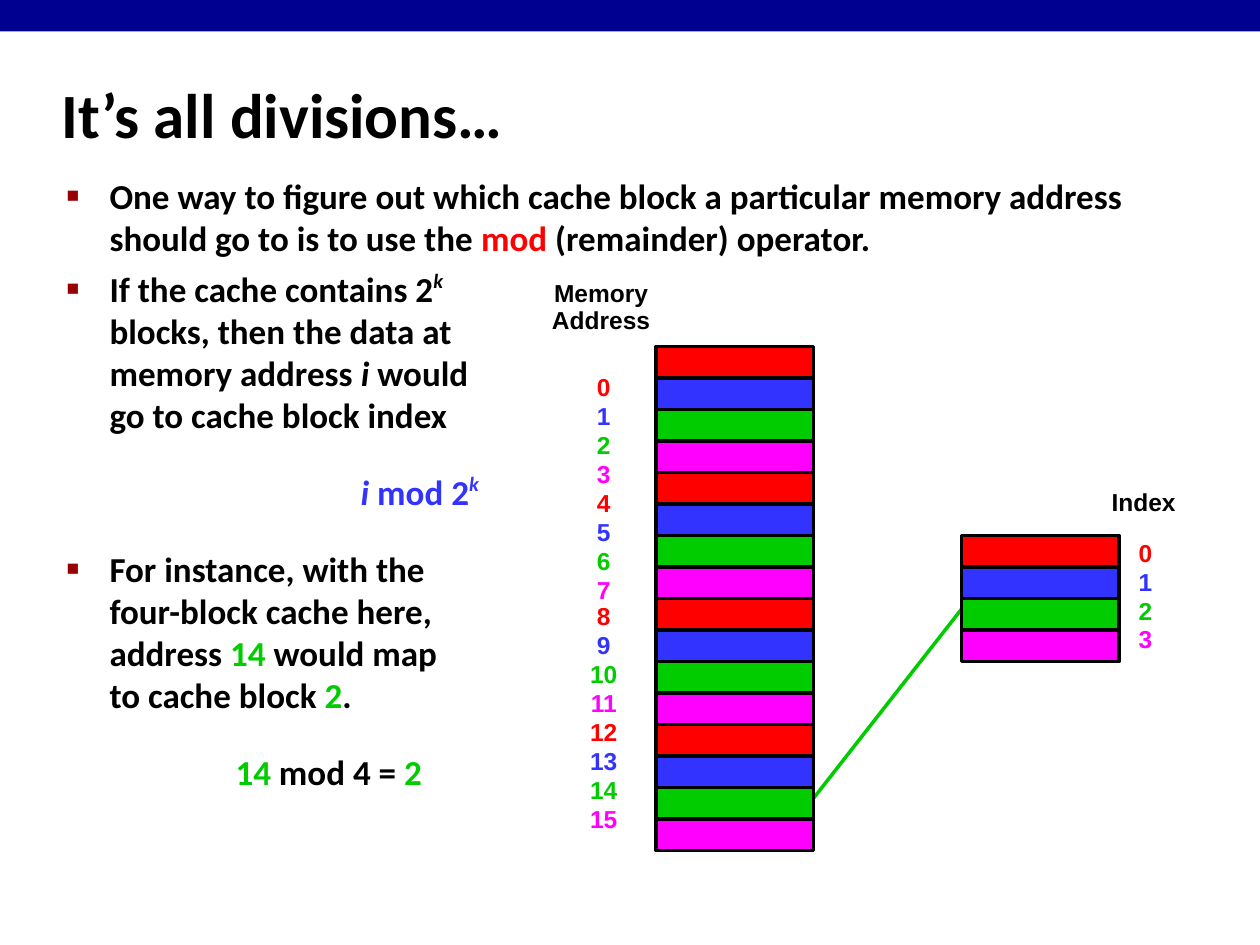
from lxml.etree import SubElement
from pptx import Presentation
from pptx.dml.color import RGBColor
from pptx.enum.shapes import MSO_CONNECTOR, MSO_SHAPE
from pptx.enum.text import MSO_ANCHOR, MSO_AUTO_SIZE, PP_ALIGN
from pptx.oxml.ns import qn
from pptx.util import Pt

BLACK = RGBColor(0x00, 0x00, 0x00)
NAVY = RGBColor(0x00, 0x00, 0x90)
RED = RGBColor(0xFF, 0x00, 0x00)
BLUE = RGBColor(0x33, 0x33, 0xFF)
GREEN = RGBColor(0x00, 0xCC, 0x00)
MAGENTA = RGBColor(0xFF, 0x00, 0xFF)
BULLET_COLOR = "990000"

# Content: a run is (text, format); "\n" is a line break
TITLE = "It’s all divisions…"
ITALIC = {"italic": True}
POWER = {"italic": True, "baseline": 40}
IN_BLUE = {"color": BLUE}
IN_GREEN = {"color": GREEN}

BODY = [
    {"runs": [("One way to figure out which cache block a particular memory address "
               "should go to is to use the ", {}),
              ("mod", {"color": RED}), (" (remainder) operator.", {})],
     "bullet": True},
    {"runs": [("If the cache contains 2", {}), ("k", POWER),
              ("\nblocks, then the data at\nmemory address ", {}), ("i", ITALIC),
              (" would\ngo to cache block index", {})],
     "bullet": True, "before": 5},
    {"runs": [("i", ITALIC | IN_BLUE), (" mod 2", IN_BLUE), ("k", POWER | IN_BLUE)],
     "indent": 168, "before": 20, "after": 15},
    {"runs": [("For instance, with the\nfour-block cache here,\naddress ", {}),
              ("14 ", IN_GREEN), ("would map\nto cache block ", {}),
              ("2", IN_GREEN), (".", {})],
     "bullet": True, "before": 5},
    {"runs": [("14", IN_GREEN), (" mod 4 = ", {}), ("2", IN_GREEN)],
     "indent": 96.5, "before": 20},
]

BLOCK_COLORS = [RED, BLUE, GREEN, MAGENTA]
MEMORY = {"left": 375, "top": 198, "count": 16}
CACHE = {"left": 549.5, "top": 306, "count": 4}
BLOCK_WIDTH, BLOCK_HEIGHT = 90, 18
MAPPED_ADDRESS = 14

# Diagram labels: left, top, width, height, lines
HEADINGS = [
    (303.5, 157, 80, 38, ["Memory", "Address"]),
    (623.5, 276.5, 60, 23, ["Index"]),
]
NUMBERS = [
    (329, 210.5, 32, 270, MEMORY["count"]),
    (642.5, 305, 24, 73, CACHE["count"]),
]


def add_run(paragraph, text, size=20, font="Calibri", color=BLACK, italic=False,
            baseline=0):
    run = paragraph.add_run()
    run.text = text
    run.font.size = Pt(size)
    run.font.name = font
    run.font.bold = True
    run.font.italic = italic
    run.font.color.rgb = color
    if baseline:
        run.font._element.set("baseline", str(baseline * 1000))


def set_indent(paragraph, left, bullet):
    properties = paragraph._p.get_or_add_pPr()
    properties.set("marL", str(Pt(left)))
    properties.set("indent", str(Pt(-left) if bullet else 0))
    if bullet:
        color = SubElement(properties, qn("a:buClr"))
        SubElement(color, qn("a:srgbClr"), val=BULLET_COLOR)
        SubElement(properties, qn("a:buSzPct"), val="60000")
        SubElement(properties, qn("a:buFont"), typeface="Arial")
        SubElement(properties, qn("a:buChar"), char="■")


def next_paragraph(frame, index):
    return frame.add_paragraph() if index else frame.paragraphs[0]


def add_body(slide):
    box = slide.shapes.add_textbox(Pt(31), Pt(96), Pt(622), Pt(402.5))
    frame = box.text_frame
    frame.word_wrap = True
    for index, item in enumerate(BODY):
        paragraph = next_paragraph(frame, index)
        set_indent(paragraph, item.get("indent", 24.5), item.get("bullet", False))
        paragraph.space_before = Pt(item.get("before", 0))
        paragraph.space_after = Pt(item.get("after", 0))
        for text, style in item["runs"]:
            for position, line in enumerate(text.split("\n")):
                if position:
                    paragraph.add_line_break()
                if line:
                    add_run(paragraph, line, **style)


def add_label(slide, left, top, width, height, lines):
    """Add a centred label; each line is (text, color, space before)."""
    box = slide.shapes.add_textbox(Pt(left), Pt(top), Pt(width), Pt(height))
    frame = box.text_frame
    frame.word_wrap = False
    frame.auto_size = MSO_AUTO_SIZE.SHAPE_TO_FIT_TEXT
    frame.vertical_anchor = MSO_ANCHOR.MIDDLE
    frame.margin_left = frame.margin_right = Pt(4)
    frame.margin_top = frame.margin_bottom = Pt(4)
    for index, (text, color, before) in enumerate(lines):
        paragraph = next_paragraph(frame, index)
        paragraph.alignment = PP_ALIGN.CENTER
        paragraph.line_spacing = 0.9
        paragraph.space_before = Pt(before)
        add_run(paragraph, text, size=14, font="Arial", color=color)


def add_rectangle(slide, left, top, width, height, color, outlined=True):
    shape = slide.shapes.add_shape(MSO_SHAPE.RECTANGLE, Pt(left), Pt(top),
                                   Pt(width), Pt(height))
    shape.shadow.inherit = False
    shape.fill.solid()
    shape.fill.fore_color.rgb = color
    if outlined:
        shape.line.color.rgb = BLACK
        shape.line.width = Pt(2)
    else:
        shape.line.fill.background()


def block_color(number):
    return BLOCK_COLORS[number % len(BLOCK_COLORS)]


def block_top(stack, number):
    return stack["top"] + number * BLOCK_HEIGHT


def add_mapping_line(slide, address):
    index = address % CACHE["count"]
    drop = BLOCK_HEIGHT / 3
    line = slide.shapes.add_connector(
        MSO_CONNECTOR.STRAIGHT,
        Pt(CACHE["left"]), Pt(block_top(CACHE, index) + drop),
        Pt(MEMORY["left"] + BLOCK_WIDTH), Pt(block_top(MEMORY, address) + drop))
    line.line.color.rgb = block_color(address)
    line.line.width = Pt(2)
    SubElement(line._element.spPr, qn("a:effectLst"))


def main():
    presentation = Presentation()
    presentation.slide_width, presentation.slide_height = Pt(720), Pt(540)
    slide = presentation.slides.add_slide(presentation.slide_layouts[5])

    # Top bar and title
    add_rectangle(slide, 0, 0, 720, 18, NAVY, outlined=False)
    title = slide.shapes.title
    title.left, title.top, title.width, title.height = Pt(28), Pt(34.5), Pt(597.5), Pt(60)
    title.text_frame.auto_size = MSO_AUTO_SIZE.NONE
    title.text_frame.vertical_anchor = MSO_ANCHOR.MIDDLE
    paragraph = title.text_frame.paragraphs[0]
    paragraph.alignment = PP_ALIGN.LEFT
    add_run(paragraph, TITLE, size=36)

    add_body(slide)

    # Memory and cache blocks
    add_mapping_line(slide, MAPPED_ADDRESS)
    for stack in (MEMORY, CACHE):
        for number in range(stack["count"]):
            add_rectangle(slide, stack["left"], block_top(stack, number),
                          BLOCK_WIDTH, BLOCK_HEIGHT, block_color(number))

    # Headings and numbers; each run of eight numbers starts without a gap
    for *place, lines in HEADINGS:
        add_label(slide, *place, [(text, BLACK, 0) for text in lines])
    for *place, count in NUMBERS:
        add_label(slide, *place, [(str(number), block_color(number), 1.4 if number % 8 else 0)
                                  for number in range(count)])

    presentation.save("out.pptx")


if __name__ == "__main__":
    main()
